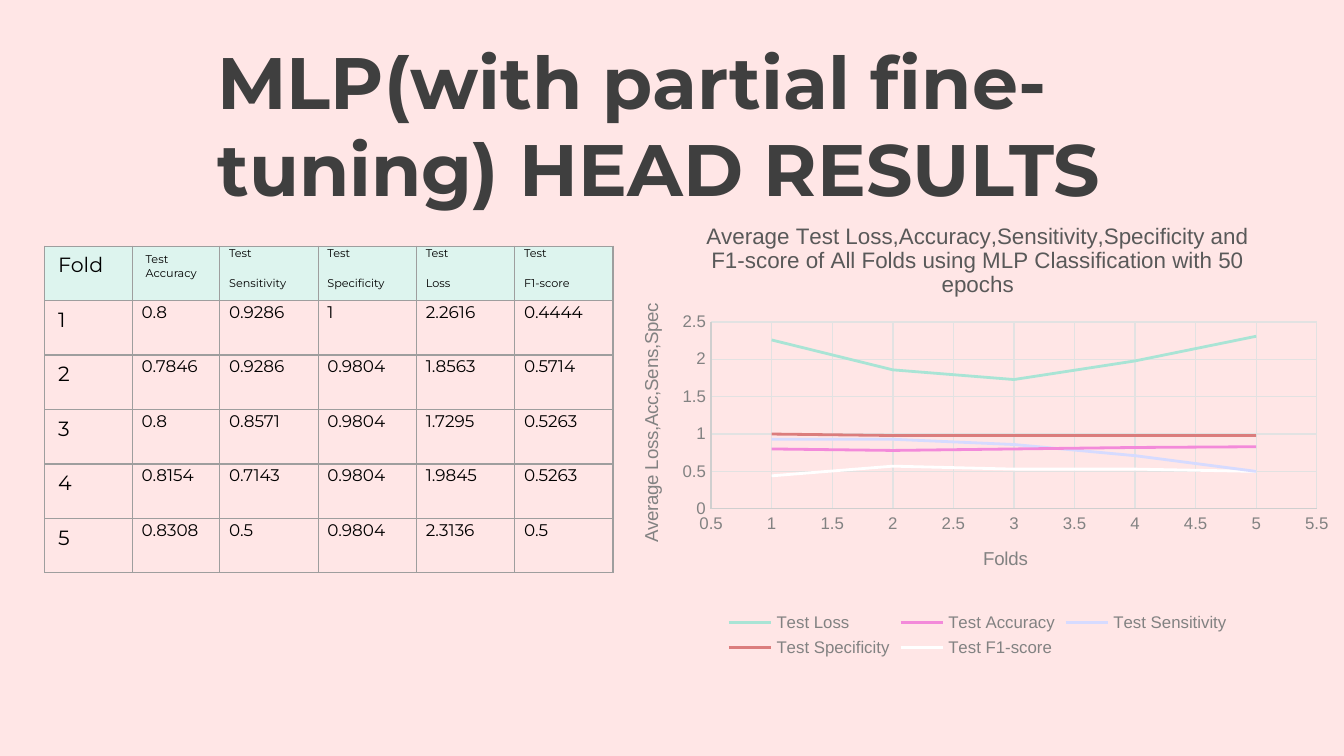
from dataclasses import dataclass

from lxml import etree
from pptx import Presentation
from pptx import util as u
from pptx.chart import data as chart_data
from pptx.dml.color import RGBColor
from pptx.enum import chart as chart_enum
from pptx.enum import text
from pptx.oxml import parse_xml
from pptx.oxml.ns import nsdecls, qn


@dataclass(frozen=True)
class Theme:
    background: str = "FFE6E6"
    heading: str = "3F3F3F"
    ink: str = "000000"
    header_fill: str = "DDF4EE"
    border: str = "9E9E9E"
    chart_title: str = "595959"
    muted: str = "828282"
    axis: str = "CFCFCF"
    grid: str = "E2E2E2"
    series: tuple = ("A9E4D5", "F38ADA", "D6DBFF", "DB7D7D", "FFFFFF")
    body_font: str = "Montserrat"
    chart_font: str = "Arial"
    heading_size: int = 39
    fold_size: int = 11
    value_size: int = 9
    header_size: int = 6
    chart_title_size: int = 12
    axis_title_size: int = 10
    label_size: int = 9


HEADERS = ["Fold", "Test Accuracy", "Test\nSensitivity", "Test\nSpecificity", "Test\nLoss", "Test\nF1-score"]
RESULTS = [
    (1, 0.8, 0.9286, 1, 2.2616, 0.4444),
    (2, 0.7846, 0.9286, 0.9804, 1.8563, 0.5714),
    (3, 0.8, 0.8571, 0.9804, 1.7295, 0.5263),
    (4, 0.8154, 0.7143, 0.9804, 1.9845, 0.5263),
    (5, 0.8308, 0.5, 0.9804, 2.3136, 0.5),
]
SERIES_COLUMNS = (4, 1, 2, 3, 5)


def style_font(font, name, size, color, bold=False):
    font.name, font.size, font.bold = name, u.Pt(size), bold
    font.color.rgb = RGBColor.from_string(color)


def write_text(frame, content, line_spacing=None, space_after=None, **style):
    for index, line in enumerate(content.split("\n")):
        paragraph = frame.paragraphs[0] if index == 0 else frame.add_paragraph()
        if line_spacing:
            paragraph.line_spacing = line_spacing
            paragraph.space_after = u.Pt(space_after)
        run = paragraph.add_run()
        run.text = line
        style_font(run.font, **style)


def style_line(line, color, width=0.75):
    line.color.rgb = RGBColor.from_string(color)
    line.width = u.Pt(width)


class SlideBuilder:
    """Draws themed elements placed by percentages of the slide's size."""

    def __init__(self, presentation, theme):
        self.theme = theme
        self.width, self.height = presentation.slide_width, presentation.slide_height
        self.slide = presentation.slides.add_slide(presentation.slide_layouts[6])
        fill = self.slide.background.fill
        fill.solid()
        fill.fore_color.rgb = RGBColor.from_string(theme.background)

    def place(self, left, top, width, height):
        return (int(self.width * left / 100), int(self.height * top / 100),
                int(self.width * width / 100), int(self.height * height / 100))

    def heading(self, content, *area):
        frame = self.slide.shapes.add_textbox(*self.place(*area)).text_frame
        frame.word_wrap = True
        frame.vertical_anchor = text.MSO_ANCHOR.BOTTOM
        frame.margin_left = frame.margin_right = frame.margin_top = frame.margin_bottom = u.Inches(0.1)
        write_text(frame, content, name=self.theme.body_font, size=self.theme.heading_size,
                   color=self.theme.heading, bold=True)

    def border(self, cell):
        properties = cell._tc.get_or_add_tcPr()
        for index, side in enumerate(("lnL", "lnR", "lnT", "lnB")):
            properties.insert(index, parse_xml(
                f'<a:{side} {nsdecls("a")} w="{u.Pt(0.75)}"><a:solidFill>'
                f'<a:srgbClr val="{self.theme.border}"/></a:solidFill></a:{side}>'))

    def table(self, rows, column_shares, *area):
        theme = self.theme
        box = self.place(*area)
        table = self.slide.shapes.add_table(len(rows), len(rows[0]), *box).table
        table.first_row = table.horz_banding = False
        for column, share in zip(table.columns, column_shares):
            column.width = int(box[2] * share / sum(column_shares))
        for row_index, row in enumerate(rows):
            for column_index, value in enumerate(row):
                cell = table.cell(row_index, column_index)
                is_header, is_fold = row_index == 0, column_index == 0
                size = theme.fold_size if is_fold else theme.header_size if is_header else theme.value_size
                spacing = {}
                if not is_fold and (not is_header or column_index > 1):
                    cell.margin_left = cell.margin_right = u.Inches(0.07)
                    cell.margin_top = cell.margin_bottom = 0
                    spacing = {"line_spacing": 1.07, "space_after": 8}
                write_text(cell.text_frame, str(value), name=theme.body_font, size=size,
                           color=theme.ink, **spacing)
                if is_header:
                    cell.fill.solid()
                    cell.fill.fore_color.rgb = RGBColor.from_string(theme.header_fill)
                else:
                    cell.fill.background()
                self.border(cell)

    def axis(self, axis, title, low, high):
        theme = self.theme
        axis.minimum_scale, axis.maximum_scale, axis.major_unit = low, high, 0.5
        axis.major_tick_mark = axis.minor_tick_mark = chart_enum.XL_TICK_MARK.NONE
        axis.has_major_gridlines = True
        style_line(axis.major_gridlines.format.line, theme.grid)
        style_line(axis.format.line, theme.axis)
        style_font(axis.tick_labels.font, theme.chart_font, theme.label_size, theme.muted)
        axis.tick_labels.number_format = "General"
        axis.tick_labels.number_format_is_linked = False
        write_text(axis.axis_title.text_frame, title, name=theme.chart_font,
                   size=theme.axis_title_size, color=theme.muted)

    def plot_layout(self, chart, **percentages):
        plot_area = chart._chartSpace.chart.plotArea
        for previous in plot_area.findall(qn("c:layout")):
            plot_area.remove(previous)
        layout = etree.Element(qn("c:layout"))
        manual = etree.SubElement(layout, qn("c:manualLayout"))
        shares = {name: value / 100 for name, value in percentages.items()}
        settings = {"layoutTarget": "inner", "xMode": "edge", "yMode": "edge", **shares}
        for name, value in settings.items():
            etree.SubElement(manual, qn(f"c:{name}")).set("val", str(value))
        plot_area.insert(0, layout)

    def chart(self, title, x_title, y_title, series, *area):
        theme = self.theme
        data = chart_data.XyChartData()
        for name, points in series:
            entry = data.add_series(name)
            for x, y in points:
                entry.add_data_point(x, y)
        kind = chart_enum.XL_CHART_TYPE.XY_SCATTER_LINES_NO_MARKERS
        chart = self.slide.shapes.add_chart(kind, *self.place(*area), data).chart
        style_font(chart.font, theme.chart_font, theme.axis_title_size, theme.heading)
        write_text(chart.chart_title.text_frame, title, name=theme.chart_font,
                   size=theme.chart_title_size, color=theme.chart_title)
        chart.chart_title.include_in_layout = False
        chart.plots[0].vary_by_categories = False
        for line_series, color in zip(chart.plots[0].series, theme.series):
            line_series.smooth = False
            style_line(line_series.format.line, color, 1.5)
            line_series.marker.style = chart_enum.XL_MARKER_STYLE.NONE
        self.axis(chart.category_axis, x_title, 0.5, 5.5)
        self.axis(chart.value_axis, y_title, 0, 2.5)
        chart.has_legend = True
        chart.legend.position = chart_enum.XL_LEGEND_POSITION.BOTTOM
        chart.legend.include_in_layout = False
        style_font(chart.legend.font, theme.chart_font, theme.label_size, theme.muted)
        self.plot_layout(chart, x=13.6, y=26.1, w=82.7, h=40.5)


def main():
    presentation = Presentation()
    presentation.slide_width = u.Inches(10)
    presentation.slide_height = presentation.slide_width * 9 // 16
    builder = SlideBuilder(presentation, Theme())
    builder.heading("MLP(with partial fine-tuning) HEAD RESULTS", 15.2, 4.8, 81.8, 24.9)
    builder.table([HEADERS, *RESULTS], (0.65, 0.65, 0.73, 0.73, 0.73, 0.73), 3.33, 32.57, 42.3, 43.25)
    series = [(HEADERS[column].replace("\n", " "), [(row[0], round(row[column], 2)) for row in RESULTS])
              for column in SERIES_COLUMNS]
    builder.chart("Average Test Loss,Accuracy,Sensitivity,Specificity and F1-score of All Folds "
                  "using MLP Classification with 50 epochs",
                  "Folds", "Average Loss,Acc,Sens,Spec", series, 45.5, 26.7, 54.5, 61)
    presentation.save("out.pptx")


if __name__ == "__main__":
    main()
